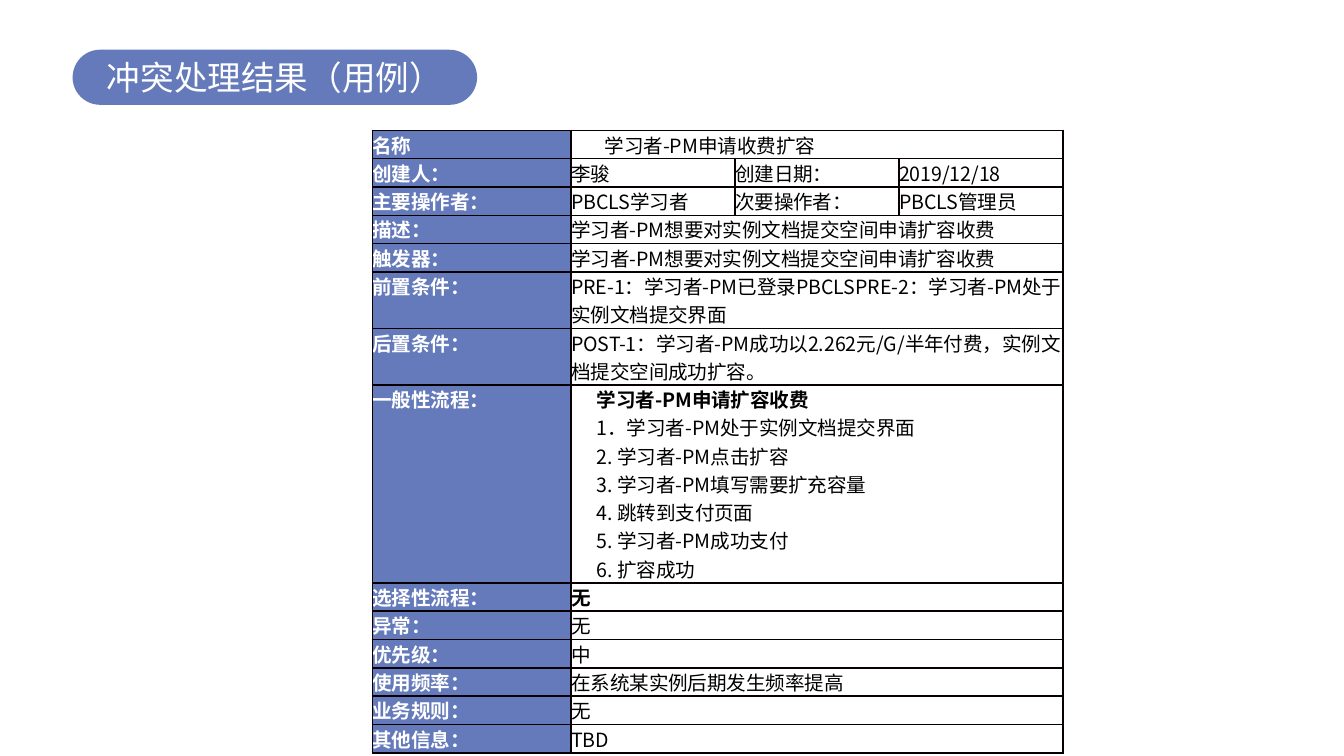
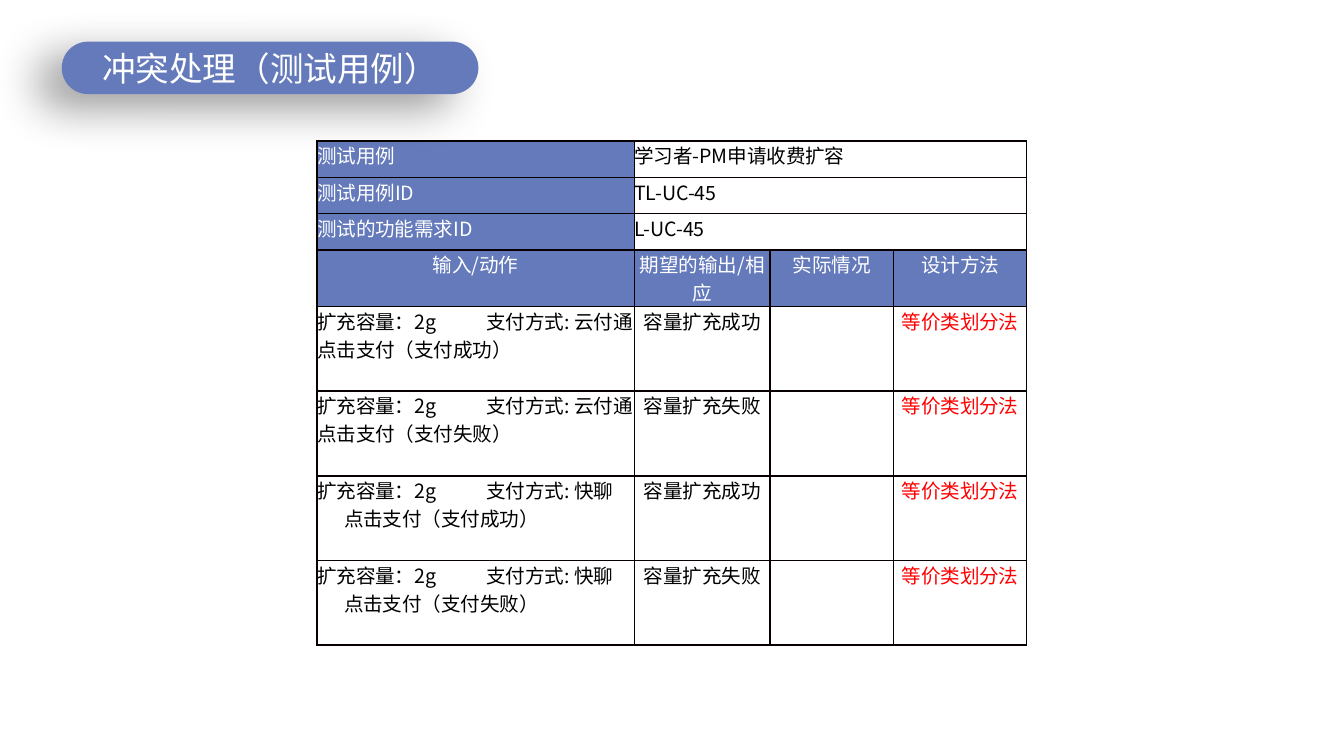
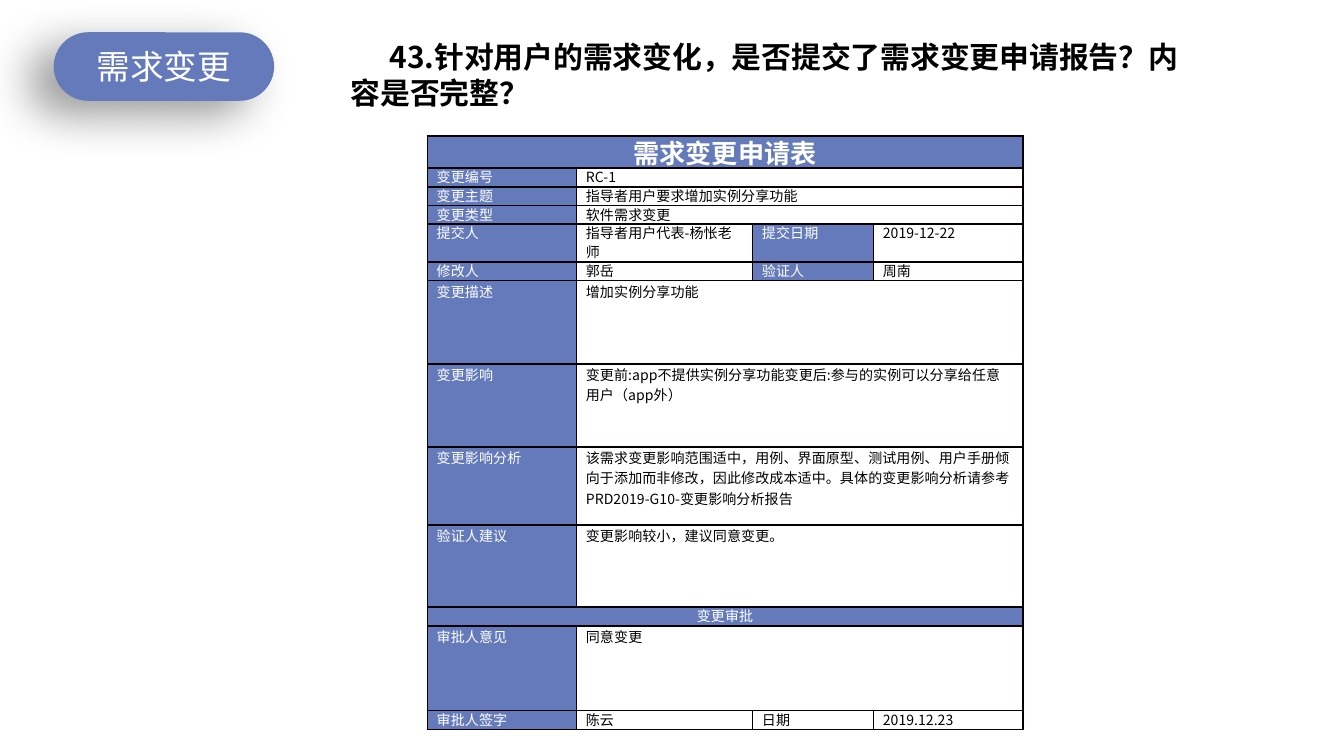
from dataclasses import dataclass

from lxml import etree
from pptx import Presentation
from pptx.dml.color import RGBColor
from pptx.enum.shapes import MSO_SHAPE
from pptx.enum.text import MSO_ANCHOR, PP_ALIGN
from pptx.oxml.ns import qn
from pptx.util import Inches, Pt

CENTER = PP_ALIGN.CENTER
MIDDLE = MSO_ANCHOR.MIDDLE
ROUNDED = MSO_SHAPE.ROUNDED_RECTANGLE

BLUE, WHITE, BLACK, RED, BORDER = "647ABA", "FFFFFF", "000000", "FF0000", "080000"
CJK, LATIN = "Noto Sans CJK SC", "Calibri"
TIGHT_ROW = 0.3  # rows lower than this get closer lines


@dataclass
class Entry:
    """Text and format of one table cell; None means the table's own value."""
    text: str = ""
    color: str = BLACK
    fill: str = None
    bold: bool = False
    size: float = None
    align: PP_ALIGN = None
    left: float = None
    tabs: tuple = ()
    bold_first: bool = False


def label(text, **extra):
    return Entry(text, WHITE, BLUE, **extra)


def rgb(value):
    return RGBColor.from_string(value)


def add_element(parent, tag, **attributes):
    return etree.SubElement(parent, qn(tag), {k: str(v) for k, v in attributes.items()})


def style_span(span, color, **formats):
    for name, value in formats.items():
        setattr(span.font, name, value)
    span.font.color.rgb = rgb(color)


def add_shadow(shape):
    effects = shape._element.spPr.find(qn("a:effectLst"))
    shadow = add_element(effects, "a:outerShdw", blurRad=Pt(25), dist=Pt(15),
                         dir=150 * 60000, algn="ctr", rotWithShape=0)
    color = add_element(shadow, "a:srgbClr", val=BLACK)
    add_element(color, "a:alpha", val=40000)


def add_title_pill(slide, box, text, shadow=True):
    pill = slide.shapes.add_shape(ROUNDED, *map(Inches, box))
    pill.adjustments[0] = 0.5
    pill.shadow.inherit = False
    pill.fill.solid()
    pill.fill.fore_color.rgb = rgb(BLUE)
    pill.line.fill.background()
    if shadow:
        add_shadow(pill)
    pill.text_frame.vertical_anchor = MIDDLE
    para = pill.text_frame.paragraphs[0]
    para.alignment = CENTER
    span = para.add_run()
    span.text = text
    style_span(span, WHITE, size=Pt(18), name=LATIN)


def add_question(slide, box, text):
    frame = slide.shapes.add_textbox(*map(Inches, box)).text_frame
    frame.word_wrap = True
    para = frame.paragraphs[0]
    para._p.get_or_add_pPr().set("indent", str(Inches(0.29)))
    span = para.add_run()
    span.text = text
    style_span(span, BLACK, size=Pt(16), name=CJK, bold=True)


def set_borders(cell):
    properties = cell._tc.get_or_add_tcPr()
    for side in ("a:lnL", "a:lnR", "a:lnT", "a:lnB"):
        line = add_element(properties, side, w=Pt(1))
        add_element(add_element(line, "a:solidFill"), "a:srgbClr", val=BORDER)


def fill_cell(cell, entry, size, inset, tight):
    cell.margin_left = Inches(inset if entry.left is None else entry.left)
    cell.margin_right = Inches(inset)
    if entry.fill:
        cell.fill.solid()
        cell.fill.fore_color.rgb = rgb(entry.fill)
    if not entry.text:
        return
    frame = cell.text_frame
    for index, line in enumerate(entry.text.split("\n")):
        para = frame.add_paragraph() if index else frame.paragraphs[0]
        para.alignment = entry.align
        if tight:
            para.line_spacing = 0.9
        if entry.tabs:
            stops = add_element(para._p.get_or_add_pPr(), "a:tabLst")
            for stop in entry.tabs:
                add_element(stops, "a:tab", pos=Inches(stop), algn="l")
        span = para.add_run()
        span.text = line
        style_span(span, entry.color, size=Pt(entry.size or size), name=CJK,
                   bold=entry.bold or (entry.bold_first and index == 0))


def add_form(slide, corner, columns, rows, size=10.5, inset=0):
    """Draw rows of (height, entries); the last entry spans the columns left over."""
    extent = sum(columns), sum(height for height, _ in rows)
    table = slide.shapes.add_table(len(rows), len(columns),
                                   *map(Inches, corner + extent)).table
    table.first_row = table.horz_banding = False
    for column, width in zip(table.columns, columns):
        column.width = Inches(width)
    last = len(columns) - 1
    for r, (height, entries) in enumerate(rows):
        table.rows[r].height = Inches(height)
        for c in range(len(columns)):
            cell = table.cell(r, c)
            cell.margin_top = cell.margin_bottom = 0
            set_borders(cell)
            cell.fill.background()
        if len(entries) <= last:
            table.cell(r, len(entries) - 1).merge(table.cell(r, last))
        tight = inset > 0 and height < TIGHT_ROW
        for c, entry in enumerate(entries):
            fill_cell(table.cell(r, c), entry, size, inset, tight)


def use_case_slide(slide):
    def row(name, *values, height=0.2):
        entries = [v if isinstance(v, Entry) else Entry(v) for v in values]
        return height, [label(name, bold=True), *entries]

    wish = "学习者-PM想要对实例文档提交空间申请扩容收费"
    flow = "\n".join([
        "学习者-PM申请扩容收费",
        "1．学习者-PM处于实例文档提交界面",
        "2. 学习者-PM点击扩容",
        "3. 学习者-PM填写需要扩充容量",
        "4. 跳转到支付页面",
        "5. 学习者-PM成功支付",
        "6. 扩容成功",
    ])
    add_form(slide, (2.77, 0.97), [1.48, 1.22, 1.22, 1.22], [
        row("名称", Entry("学习者-PM申请收费扩容", left=0.25)),
        row("创建人：", "李骏", "创建日期：", "2019/12/18"),
        row("主要操作者：", "PBCLS学习者", "次要操作者：", "PBCLS管理员"),
        row("描述：", wish),
        row("触发器：", wish),
        row("前置条件：", "PRE-1：学习者-PM已登录PBCLSPRE-2：学习者-PM处于实例文档提交界面",
            height=0.4),
        row("后置条件：", "POST-1：学习者-PM成功以2.262元/G/半年付费，实例文档提交空间成功扩容。",
            height=0.4),
        row("一般性流程：", Entry(flow, left=0.19, bold_first=True), height=1.23),
        row("选择性流程：", Entry("无", bold=True)),
        row("异常：", "无"),
        row("优先级：", "中"),
        row("使用频率：", "在系统某实例后期发生频率提高"),
        row("业务规则：", "无"),
        row("其他信息：", "TBD"),
    ])
    add_title_pill(slide, (0.54, 0.37, 3.01, 0.41), "冲突处理结果（用例）", shadow=False)


def test_case_slide(slide):
    facts = [("测试用例", "学习者-PM申请收费扩容"), ("测试用例ID", "TL-UC-45"),
             ("测试的功能需求ID", "L-UC-45")]
    headings = ["输入/动作", "期望的输出/相应", "实际情况", "设计方法"]
    # wallet, break before the click, tab stop of the click
    wallets = [("云付通", "", 0.44), ("快聊", "\n", 0.2)]

    rows = [(0.27, [label(name), Entry(value)]) for name, value in facts]
    rows.append((0.42, [label(text, align=CENTER) for text in headings]))
    for wallet, gap, stop in wallets:
        for outcome in ("成功", "失败"):
            action = f"扩充容量：2g\t支付方式: {wallet}{gap}\t点击支付（支付{outcome}）"
            rows.append((0.63, [
                Entry(action, tabs=(stop, 1.26)),
                Entry(f"容量扩充{outcome}", align=CENTER),
                Entry(),
                Entry("等价类划分法", RED, align=CENTER),
            ]))
    add_form(slide, (2.36, 1.05), [2.36, 1.01, 0.92, 0.99], rows)
    add_title_pill(slide, (0.46, 0.31, 3.1, 0.39), "冲突处理（测试用例）")


def change_request_slide(slide):
    def row(name, value, *others, height=0.14):
        return height, [label(name), Entry(value), *others]

    add_title_pill(slide, (0.4, 0.24, 1.64, 0.51), "需求变更")
    add_question(slide, (2.51, 0.24, 6.48, 0.64),
                 "43.针对用户的需求变化，是否提交了需求变更申请报告？内容是否完整？")
    add_form(slide, (3.18, 1.01), [1.11, 1.31, 0.9, 1.11], [
        (0.24, [label("需求变更申请表", bold=True, size=14, align=CENTER)]),
        row("变更编号", "RC-1"),
        row("变更主题", "指导者用户要求增加实例分享功能"),
        row("变更类型", "软件需求变更"),
        row("提交人", "指导者用户代表-杨怅老师", label("提交日期"), Entry("2019-12-22"),
            height=0.28),
        row("修改人", "郭岳", label("验证人"), Entry("周南")),
        row("变更描述", "增加实例分享功能", height=0.62),
        row("变更影响", "变更前:app不提供实例分享功能变更后:参与的实例可以分享给任意用户（app外）",
            height=0.62),
        row("变更影响分析",
            "该需求变更影响范围适中，用例、界面原型、测试用例、用户手册倾向于添加而非修改，"
            "因此修改成本适中。具体的变更影响分析请参考PRD2019-G10-变更影响分析报告",
            height=0.58),
        row("验证人建议", "变更影响较小，建议同意变更。", height=0.61),
        (0.14, [label("变更审批", align=CENTER)]),
        row("审批人意见", "同意变更", height=0.63),
        row("审批人签字", "陈云", Entry("日期"), Entry("2019.12.23")),
    ], size=7.5, inset=0.07)


def main():
    deck = Presentation()
    deck.slide_width = Inches(10)
    deck.slide_height = deck.slide_width * 9 // 16
    blank = deck.slide_layouts[6]
    for build in (use_case_slide, test_case_slide, change_request_slide):
        build(deck.slides.add_slide(blank))
    deck.save("out.pptx")


if __name__ == "__main__":
    main()
